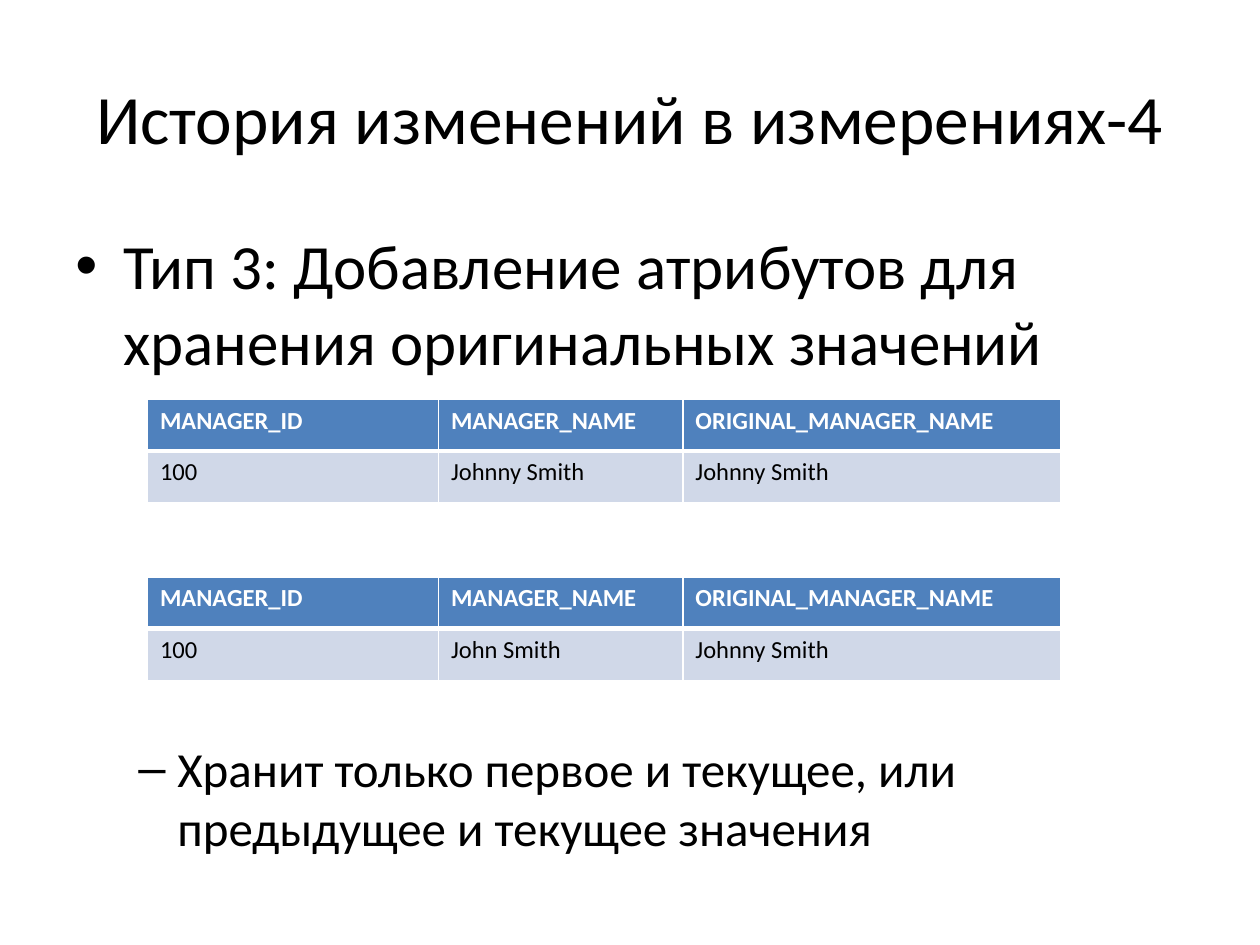
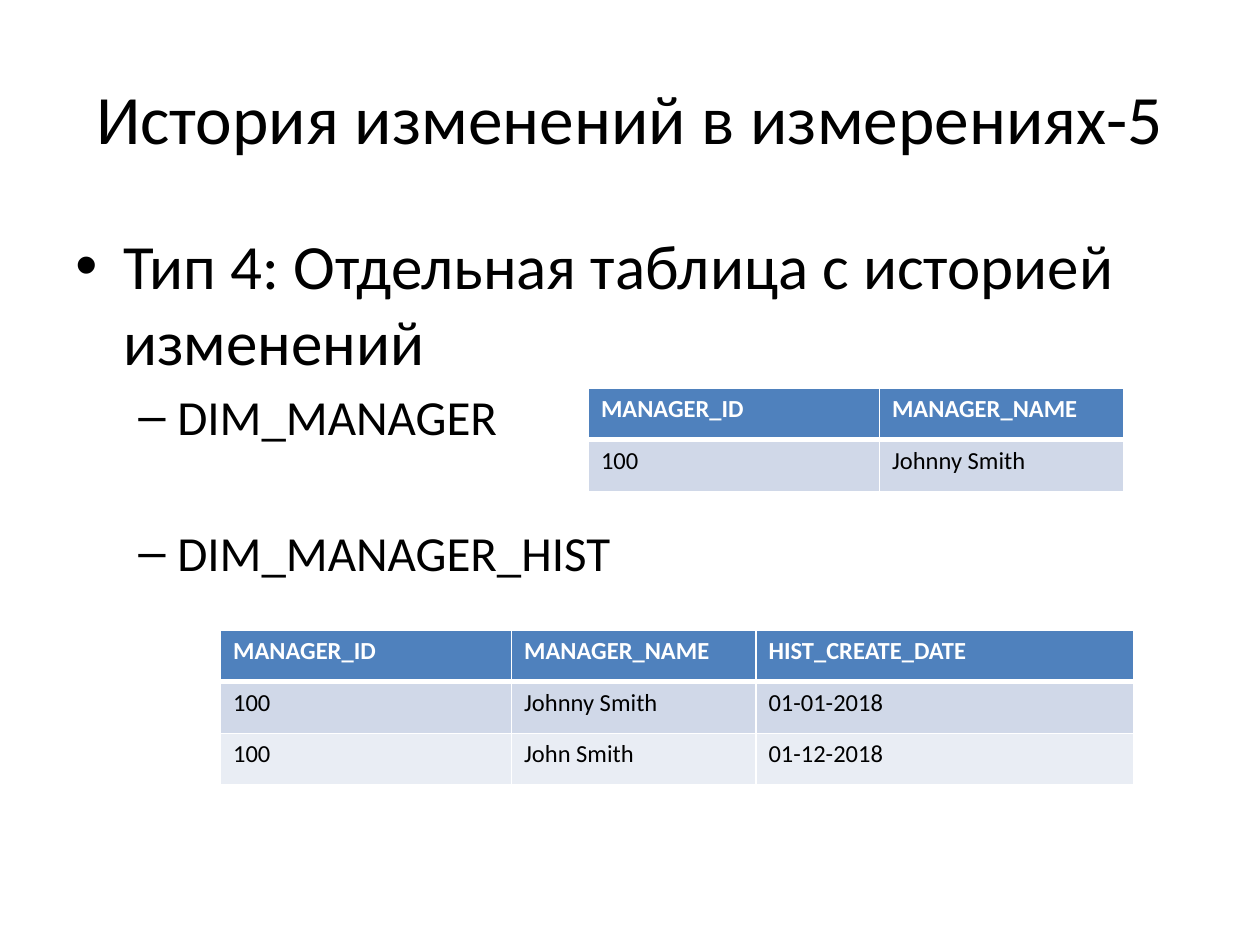
"""Build two slides on keeping the history of dimension changes."""
from lxml import etree
from pptx import Presentation
from pptx.dml.color import RGBColor
from pptx.enum.text import MSO_ANCHOR, MSO_AUTO_SIZE, PP_ALIGN
from pptx.oxml.ns import qn
from pptx.util import Inches, Pt

MIDDLE, CENTER, NO_FIT = MSO_ANCHOR.MIDDLE, PP_ALIGN.CENTER, MSO_AUTO_SIZE.NONE

THEME = {
    "font": "Calibri",
    "ink": "000000",
    "white": "FFFFFF",
    "head": "4F81BD",
    "bands": ("D0D8E8", "E9EDF4"),
    "title": 39.6,
    "cell": 14,
    "thin": 1,
    "thick": 3,
}
LEVELS = (
    {"size": 36, "left": 0.38, "hang": 0.38, "mark": "•"},
    {"size": 28, "left": 0.81, "hang": 0.31, "mark": "–"},
)
TITLE_BOX = (0.5, 0.3, 9, 1.25)
BODY_BOX = (0.5, 1.75, 9, 4.95)
COLS = (2.31, 1.94, 3)
ROW = 0.41
KEYS = ("MANAGER_ID", "MANAGER_NAME")
ORIGIN = KEYS + ("ORIGINAL_MANAGER_NAME",)
OLD, NEW = ("100", "Johnny Smith"), ("100", "John Smith")

SLIDES = [
    {
        "title": "История изменений в измерениях-4",
        "body": [
            (0, 0, "Тип 3: Добавление атрибутов для хранения оригинальных значений"),
            (1, 206, "Хранит только первое и текущее, или предыдущее и текущее значения"),
        ],
        "tables": [
            (1.17, 3.17, [ORIGIN, OLD + ("Johnny Smith",)]),
            (1.17, 4.58, [ORIGIN, NEW + ("Johnny Smith",)]),
        ],
    },
    {
        "title": "История изменений в измерениях-5",
        "body": [
            (0, 0, "Тип 4: Отдельная таблица с историей изменений"),
            (1, 5, "DIM_MANAGER"),
            (1, 44, "DIM_MANAGER_HIST"),
        ],
        "tables": [
            (4.67, 3.08, [KEYS, OLD]),
            (1.75, 5, [
                KEYS + ("HIST_CREATE_DATE",),
                OLD + ("01-01-2018",),
                NEW + ("01-12-2018",),
            ]),
        ],
    },
]


def apply(obj, form):
    for name, value in form.items():
        setattr(obj, name, value)


def write(para, text, size, color, bold=False):
    run = para.add_run()
    run.text = text
    apply(run.font, {"name": THEME["font"], "size": Pt(size), "bold": bold})
    run.font.color.rgb = RGBColor.from_string(color)


def add_title(slide, text):
    shape = slide.shapes.title
    apply(shape, dict(zip(("left", "top", "width", "height"), map(Inches, TITLE_BOX))))
    frame = shape.text_frame
    apply(frame, {"word_wrap": True, "auto_size": NO_FIT, "vertical_anchor": MIDDLE})
    para = frame.paragraphs[0]
    para.alignment = CENTER
    write(para, text, THEME["title"], THEME["ink"])


def add_body(slide, items):
    frame = slide.shapes.add_textbox(*map(Inches, BODY_BOX)).text_frame
    frame.word_wrap = True
    for i, (level, gap, text) in enumerate(items):
        para = frame.add_paragraph() if i else frame.paragraphs[0]
        look = LEVELS[level]
        apply(para, {"level": level, "space_before": Pt(gap)})
        write(para, text, look["size"], THEME["ink"])
        props = para._p.get_or_add_pPr()
        props.set("marL", str(Inches(look["left"])))
        props.set("indent", str(-Inches(look["hang"])))
        etree.SubElement(props, qn("a:buFont")).set("typeface", "Arial")
        etree.SubElement(props, qn("a:buChar")).set("char", look["mark"])


def add_edges(cell, row):
    wide = {"T": row == 1, "B": row == 0}
    props = cell._tc.get_or_add_tcPr()
    for i, side in enumerate("LRTB"):
        line = etree.Element(qn("a:ln" + side))
        line.set("w", str(Pt(THEME["thick" if wide.get(side) else "thin"])))
        fill = etree.SubElement(line, qn("a:solidFill"))
        etree.SubElement(fill, qn("a:srgbClr")).set("val", THEME["white"])
        props.insert(i, line)


def add_grid(slide, left, top, rows):
    cols = COLS[:len(rows[0])]
    box = map(Inches, (left, top, sum(cols), ROW * len(rows)))
    table = slide.shapes.add_table(len(rows), len(cols), *box).table
    for col, width in zip(table.columns, cols):
        col.width = Inches(width)
    for r, row in enumerate(rows):
        table.rows[r].height = Inches(ROW)
        shade = THEME["bands"][(r - 1) % 2] if r else THEME["head"]
        color = THEME["ink"] if r else THEME["white"]
        for c, text in enumerate(row):
            cell = table.cell(r, c)
            cell.fill.solid()
            cell.fill.fore_color.rgb = RGBColor.from_string(shade)
            write(cell.text_frame.paragraphs[0], text, THEME["cell"], color, r == 0)
            add_edges(cell, r)


def main():
    deck = Presentation()
    apply(deck, {"slide_width": Inches(10), "slide_height": Inches(7.5)})
    for data in SLIDES:
        slide = deck.slides.add_slide(deck.slide_layouts.get_by_name("Title Only"))
        add_title(slide, data["title"])
        add_body(slide, data["body"])
        for grid in data["tables"]:
            add_grid(slide, *grid)
    deck.save("out.pptx")


main()
